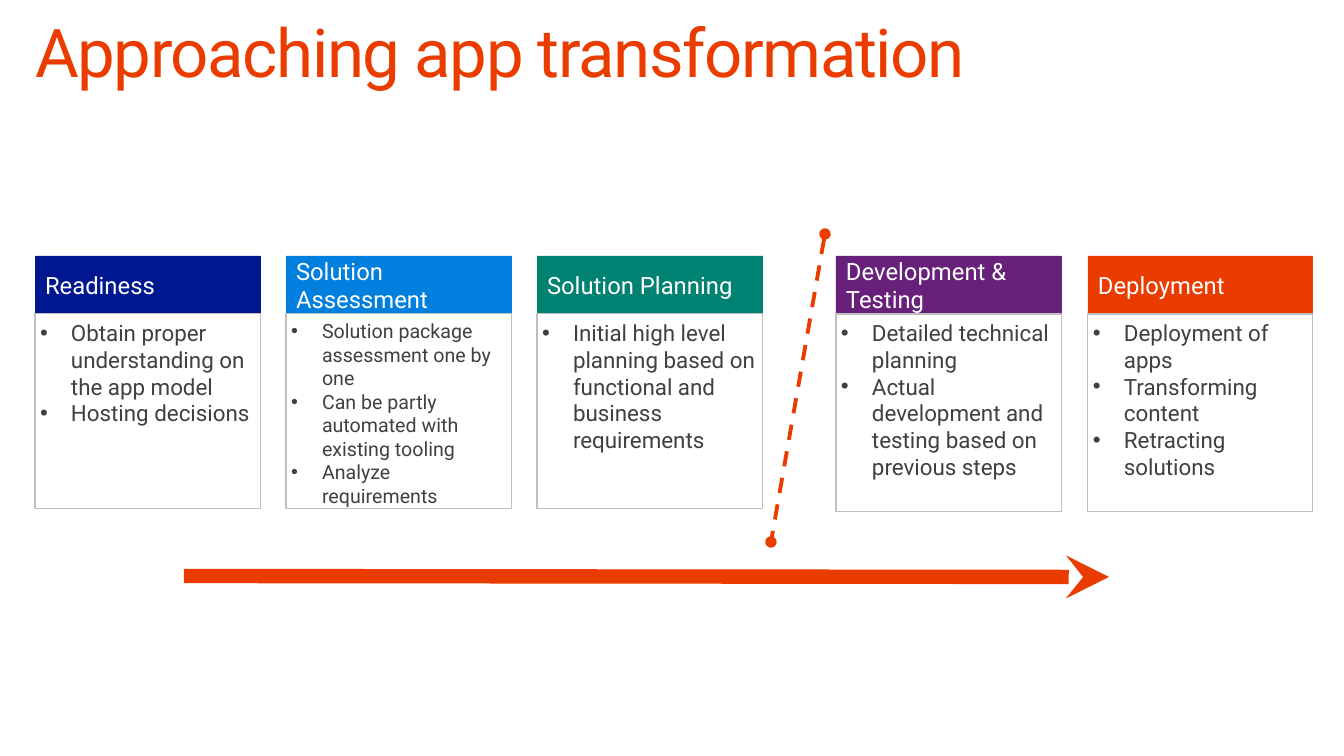
from pptx import Presentation
from pptx.dml.color import RGBColor
from pptx.enum.dml import MSO_LINE
from pptx.enum.shapes import MSO_CONNECTOR, MSO_SHAPE
from pptx.enum.text import MSO_ANCHOR, PP_ALIGN
from pptx.oxml.ns import qn
from pptx.util import Emu, Pt
from lxml import etree

RECTANGLE = MSO_SHAPE.RECTANGLE
STRAIGHT = MSO_CONNECTOR.STRAIGHT
DASH = MSO_LINE.DASH
TOP, MIDDLE = MSO_ANCHOR.TOP, MSO_ANCHOR.MIDDLE
LEFT = PP_ALIGN.LEFT

ORANGE = RGBColor(0xEB, 0x3C, 0x00)
NAVY = RGBColor(0x00, 0x18, 0x8F)
BLUE = RGBColor(0x00, 0x7F, 0xDE)
TEAL = RGBColor(0x00, 0x82, 0x72)
PURPLE = RGBColor(0x68, 0x21, 0x7A)
WHITE = RGBColor(0xFF, 0xFF, 0xFF)
DARK_GRAY = RGBColor(0x40, 0x40, 0x40)
BORDER_GRAY = RGBColor(0xBF, 0xBF, 0xBF)

FONT = "Roboto"
EMU_PER_PX = 914400 / 100.8
HEADER_TOP, HEADER_HEIGHT = 256, 58
BULLET_INDENT = 31

STAGES = [
    ("Readiness", NAVY, 35, 226, 195, 16,
     ["Obtain proper understanding on the app model", "Hosting decisions"]),
    ("Solution Assessment", BLUE, 286, 226, 195, 14,
     ["Solution package assessment one by one",
      "Can be partly automated with existing tooling",
      "Analyze requirements"]),
    ("Solution Planning", TEAL, 537, 226, 195, 16,
     ["Initial high level planning based on functional and business requirements"]),
    ("Development & Testing", PURPLE, 836, 226, 198, 16,
     ["Detailed technical planning",
      "Actual development and testing based on previous steps"]),
    ("Deployment", ORANGE, 1088, 225, 198, 16,
     ["Deployment of apps", "Transforming content", "Retracting solutions"]),
]


def px(length):
    return Emu(round(length * EMU_PER_PX))


def set_frame(frame, side, edge, anchor):
    frame.word_wrap = True
    frame.vertical_anchor = anchor
    frame.margin_left = frame.margin_right = px(side)
    frame.margin_top = frame.margin_bottom = px(edge)


def add_run(paragraph, text, size, color):
    run = paragraph.add_run()
    run.text = text
    run.font.name = FONT
    run.font.size = Pt(size)
    run.font.color.rgb = color
    return run


def add_title(slide, text):
    title = slide.shapes.add_textbox(px(35), px(19), px(1229), px(83))
    set_frame(title.text_frame, 0, 0, TOP)
    paragraph = title.text_frame.paragraphs[0]
    paragraph.line_spacing = 0.9
    run = add_run(paragraph, text, 48, ORANGE)
    run.font._element.set("spc", "-100")


def add_box(slide, left, top, width, height):
    box = slide.shapes.add_shape(RECTANGLE, px(left), px(top), px(width), px(height))
    box.shadow.inherit = False
    return box


def add_header(slide, text, color, left, width):
    header = add_box(slide, left, HEADER_TOP, width, HEADER_HEIGHT)
    header.fill.solid()
    header.fill.fore_color.rgb = color
    header.line.fill.background()
    set_frame(header.text_frame, 10, 5, MIDDLE)
    paragraph = header.text_frame.paragraphs[0]
    paragraph.alignment = LEFT
    add_run(paragraph, text, 17, WHITE)


def add_bullet(paragraph):
    properties = paragraph._p.get_or_add_pPr()
    properties.set("marL", str(px(BULLET_INDENT)))
    properties.set("indent", str(-px(BULLET_INDENT)))
    etree.SubElement(properties, qn("a:buFont"), typeface="Arial")
    etree.SubElement(properties, qn("a:buChar"), char="•")


def add_activities(slide, activities, left, width, height, size):
    body = add_box(slide, left, HEADER_TOP + HEADER_HEIGHT, width, height)
    body.fill.background()
    body.line.color.rgb = BORDER_GRAY
    body.line.width = Pt(0.75)
    frame = body.text_frame
    set_frame(frame, 5, 5, TOP)
    for index, activity in enumerate(activities):
        paragraph = frame.add_paragraph() if index else frame.paragraphs[0]
        paragraph.alignment = LEFT
        add_bullet(paragraph)
        add_run(paragraph, activity, size, DARK_GRAY)


def add_line(slide, start, end, width, tail, head=None, dash=None):
    line = slide.shapes.add_connector(STRAIGHT, *map(px, start + end))
    line.line.color.rgb = ORANGE
    line.line.width = Pt(width)
    if dash:
        line.line.dash_style = dash
    outline = line.line._get_or_add_ln()
    if head:
        etree.SubElement(outline, qn("a:headEnd"), type=head)
    etree.SubElement(outline, qn("a:tailEnd"), type=tail)
    etree.SubElement(line._element.spPr, qn("a:effectLst"))


def main():
    presentation = Presentation()
    presentation.slide_width = px(1344)
    presentation.slide_height = px(756)
    slide = presentation.slides.add_slide(presentation.slide_layouts[6])

    add_title(slide, "Approaching app transformation")
    for name, color, left, width, height, size, activities in STAGES:
        add_header(slide, name, color, left, width)
        add_activities(slide, activities, left, width, height, size)
    add_line(slide, (184, 576), (1109, 577), 10.25, "stealth")
    add_line(slide, (825, 234), (771, 542), 2.75, "oval", "oval", DASH)

    presentation.save("out.pptx")


if __name__ == "__main__":
    main()
